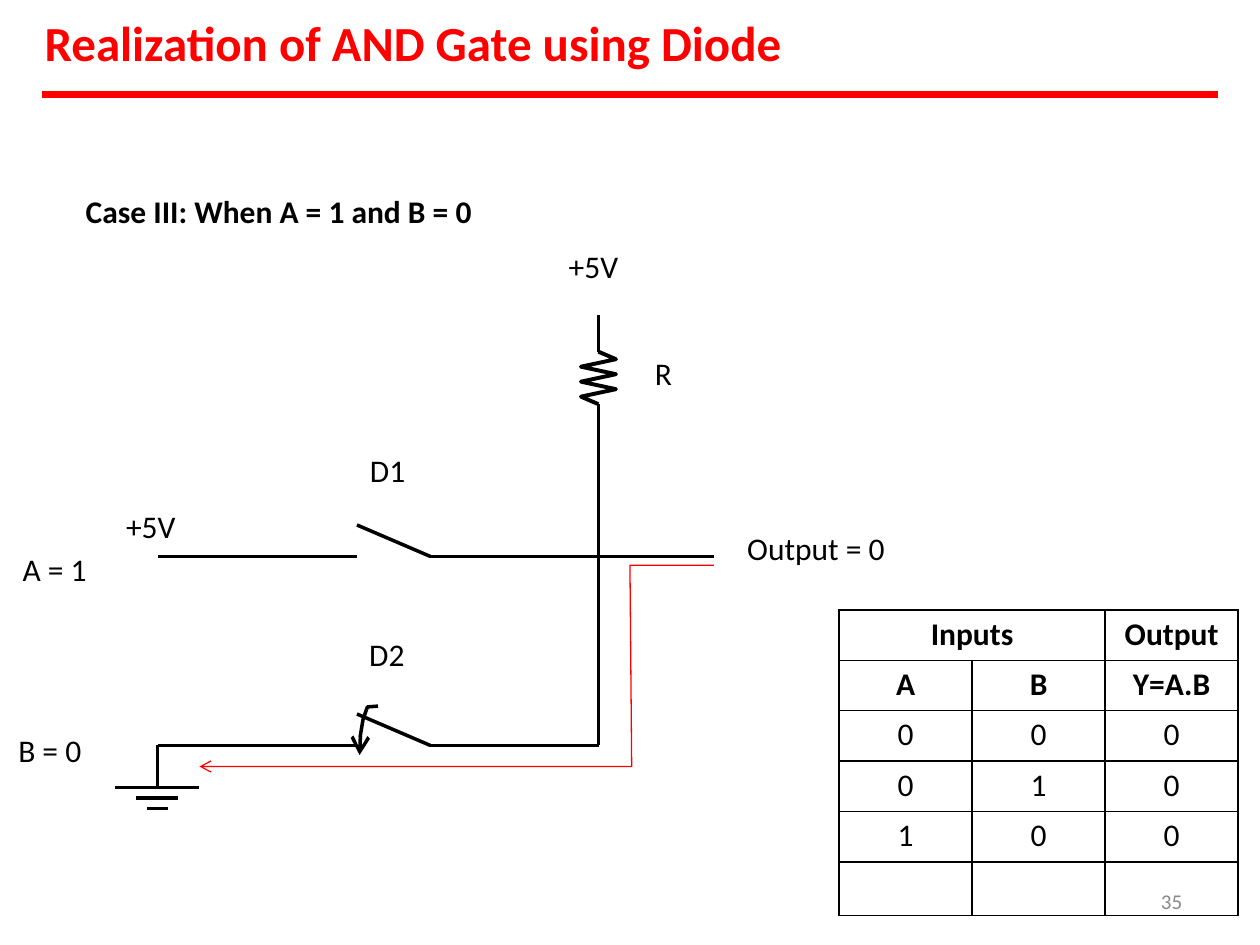
"""Build the slide on the diode AND gate for inputs A = 1 and B = 0."""
from dataclasses import dataclass

from lxml.etree import SubElement
from pptx import Presentation
from pptx.dml.color import RGBColor
from pptx.enum.shapes import MSO_CONNECTOR
from pptx.enum.text import MSO_ANCHOR, PP_ALIGN
from pptx.oxml import parse_xml
from pptx.oxml.ns import nsdecls, qn
from pptx.util import Pt


@dataclass(frozen=True)
class Theme:
    font: str = "Calibri"
    black: str = "000000"
    red: str = "FF0000"
    grey: str = "888888"
    title: float = 28
    body: float = 18
    small: float = 12
    wire: float = 2.25
    switch: float = 2
    signal: float = 0.75
    rule: float = 4


class SlideBuilder:
    def __init__(self, slide, theme):
        self.s = slide
        self.t = theme

    def format(self, p, size=None, color=None, bold=False):
        for r in p.runs:
            r.font.name = self.t.font
            r.font.size = Pt(size or self.t.body)
            r.font.bold = bold
            r.font.color.rgb = RGBColor.from_string(color or self.t.black)

    def frame(self, x, y, w, h, top=1):
        tf = self.s.shapes.add_textbox(Pt(x), Pt(y), Pt(w), Pt(h)).text_frame
        tf.word_wrap = True
        tf.margin_left, tf.margin_top = Pt(1), Pt(top)
        tf.margin_right = tf.margin_bottom = Pt(0)
        return tf

    def label(self, text, x, y, w, h=24, **style):
        tf = self.frame(x, y, w, h)
        tf.text = text
        self.format(tf.paragraphs[0], **style)

    def notes(self, x, y, w, h, top, items):
        tf = self.frame(x, y, w, h, top)
        for i, (text, before, indent, align, bold) in enumerate(items):
            p = tf.add_paragraph() if i else tf.paragraphs[0]
            p.text = text
            p.alignment = align
            if i:
                p.space_before = Pt(before)
            p._p.get_or_add_pPr().set("marL", str(Pt(indent)))
            self.format(p, bold=bold)

    def line(self, x1, y1, x2, y2, width=None, color=None):
        sp = self.s.shapes.add_connector(
            MSO_CONNECTOR.STRAIGHT, Pt(x1), Pt(y1), Pt(x2), Pt(y2))
        self.stroke(sp, width or self.t.wire, color or self.t.black)
        SubElement(sp._element.spPr, qn("a:effectLst"))

    def polyline(self, points, width, color, head=None):
        pts = [(Pt(x), Pt(y)) for x, y in points]
        fb = self.s.shapes.build_freeform(*pts[0], scale=1.0)
        fb.add_line_segments(pts[1:], close=False)
        sp = fb.convert_to_shape()
        sp.shadow.inherit = False
        sp.fill.background()
        self.stroke(sp, width, color)
        if head:
            SubElement(sp.line._get_or_add_ln(), qn("a:tailEnd"),
                       type="arrow", w=head, len=head)

    def stroke(self, sp, width, color):
        sp.line.width = Pt(width)
        sp.line.color.rgb = RGBColor.from_string(color)

    def table(self, x, y, col_w, heights, rows):
        n = len(rows[0])
        tbl = self.s.shapes.add_table(
            len(rows), n, Pt(x), Pt(y), Pt(col_w * n), Pt(sum(heights))).table
        tbl.first_row = tbl.horz_banding = False
        for col in tbl.columns:
            col.width = Pt(col_w)
        for i, (row, height) in enumerate(zip(rows, heights)):
            tbl.rows[i].height = Pt(height)
            for j, text in enumerate(row):
                self.cell(tbl.cell(i, j), text, bold=i < 2)
        tbl.cell(0, 0).merge(tbl.cell(0, 1))
        return tbl

    def cell(self, cell, text, top=3, **style):
        cell.margin_left = cell.margin_right = cell.margin_bottom = Pt(0)
        cell.margin_top = Pt(top)
        cell.vertical_anchor = MSO_ANCHOR.TOP
        cell.text = text
        p = cell.text_frame.paragraphs[0]
        p.alignment = PP_ALIGN.CENTER
        self.format(p, **style)
        cell.fill.background()
        tc_pr = cell._tc.get_or_add_tcPr()
        for old in tc_pr.xpath("a:lnL|a:lnR|a:lnT|a:lnB"):
            tc_pr.remove(old)
        for k, side in enumerate("LRTB"):
            tc_pr.insert(k, parse_xml(
                f'<a:ln{side} {nsdecls("a")} w="{Pt(1)}"><a:solidFill>'
                f'<a:srgbClr val="{self.t.black}"/></a:solidFill></a:ln{side}>'))


def draw_circuit(b):
    t = b.t
    left, gap, hinge, bus, out = 90, 204, 246, 342, 408
    row_a, row_b = 318, 426
    top, res_top, res_bottom = 180, 201, 231

    for y in (row_a, row_b):
        b.line(left, y, gap, y)
        b.line(hinge, y, bus, y)
        b.line(hinge, y, gap, y - 18, t.switch)
    b.line(bus, row_a, out, row_a)
    b.line(bus, top, bus, res_top)
    b.line(bus, res_bottom, bus, row_b)

    step = (res_bottom - res_top) / 7
    offsets = [0, 10, -10, 10, -10, 10, -10, 0]
    b.polyline([(bus + dx, res_top + k * step) for k, dx in enumerate(offsets)],
               t.wire, t.black)

    ground = row_b + 24
    b.line(left, row_b, left, ground)
    for k, half in enumerate((24, 12, 6)):
        b.line(left - half, ground + 6 * k, left + half, ground + 6 * k)

    b.polyline([(216, 403.5), (210, 404), (207.5, 411), (206, 420), (205.5, 431.5)],
               t.switch, t.black, head="lg")
    b.polyline([(out, 323), (360, 323), (361, 438), (114, 438)],
               t.signal, t.red, head="med")


def main():
    t = Theme()
    prs = Presentation()
    prs.slide_width, prs.slide_height = Pt(720), Pt(540)
    b = SlideBuilder(prs.slides.add_slide(prs.slide_layouts[6]), t)

    b.label("Realization of AND Gate using Diode", 24.5, 6, 440, 36,
            size=t.title, color=t.red, bold=True)
    b.line(24, 54, 696, 54, t.rule, t.red)
    draw_circuit(b)

    b.notes(48, 100, 336, 177, 10, [
        ("Case III: When A = 1 and B = 0", 0, 0, PP_ALIGN.LEFT, True),
        ("+5V", 9.3, 276, PP_ALIGN.LEFT, False),
        ("R", 39.8, 0, PP_ALIGN.RIGHT, False),
        ("D1", 33.7, 10, PP_ALIGN.CENTER, False),
    ])
    for text, x, y, w in (("D2", 210, 362, 26), ("Output = 0", 426, 301.5, 84),
                          ("A = 1", 12, 313.5, 42), ("B = 0", 9.5, 416.5, 42),
                          ("+5V", 71, 289, 34)):
        b.label(text, x, y, w)

    tbl = b.table(479.5, 348.5, 76, [28.8] * 5 + [30.8], [
        ("Inputs", "", "Output"),
        ("A", "B", "Y=A.B"),
        ("0", "0", "0"),
        ("0", "1", "0"),
        ("1", "0", "0"),
        ("", "", ""),
    ])
    b.cell(tbl.cell(5, 2), "35", top=16, size=t.small, color=t.grey)
    prs.save("out.pptx")


if __name__ == "__main__":
    main()
